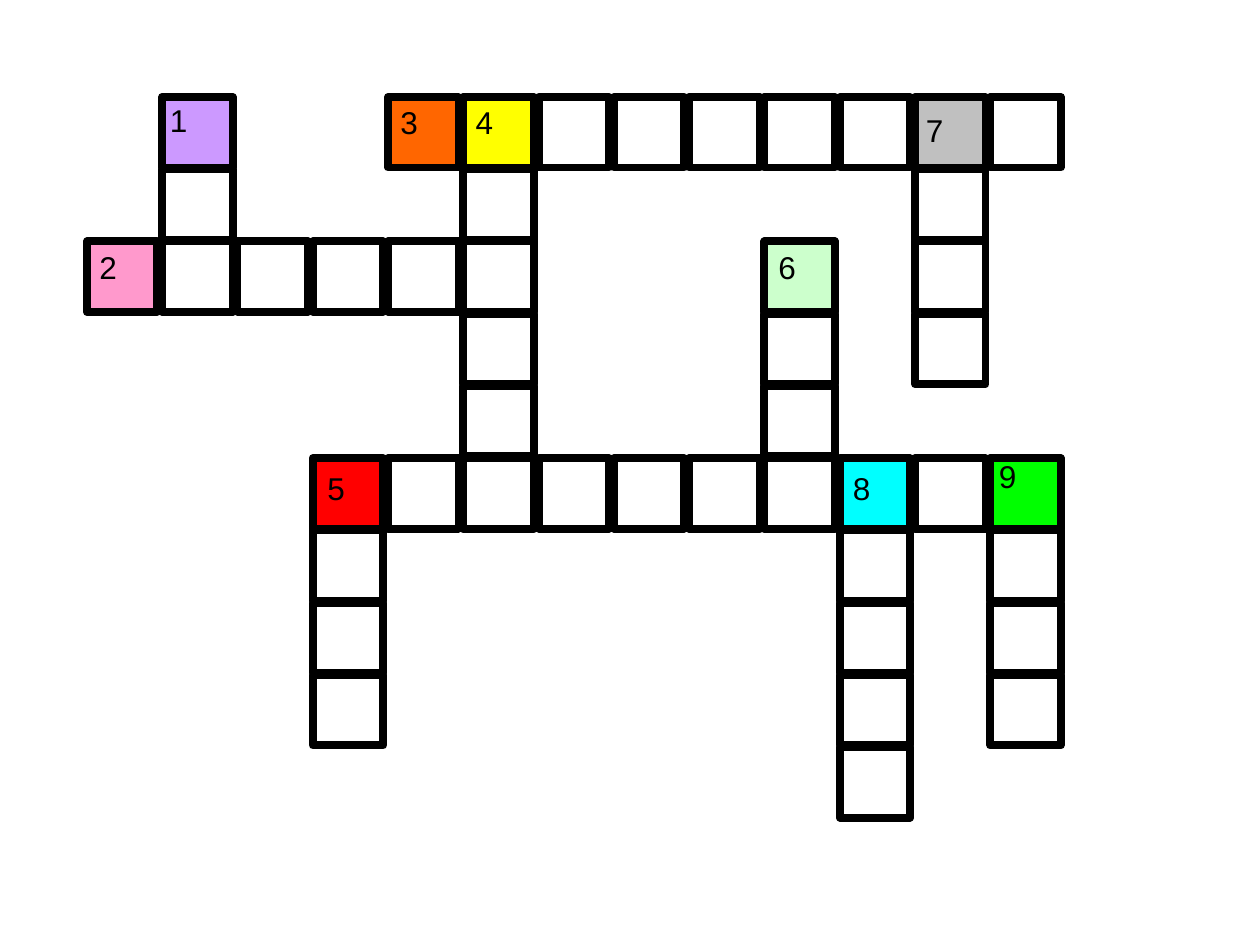
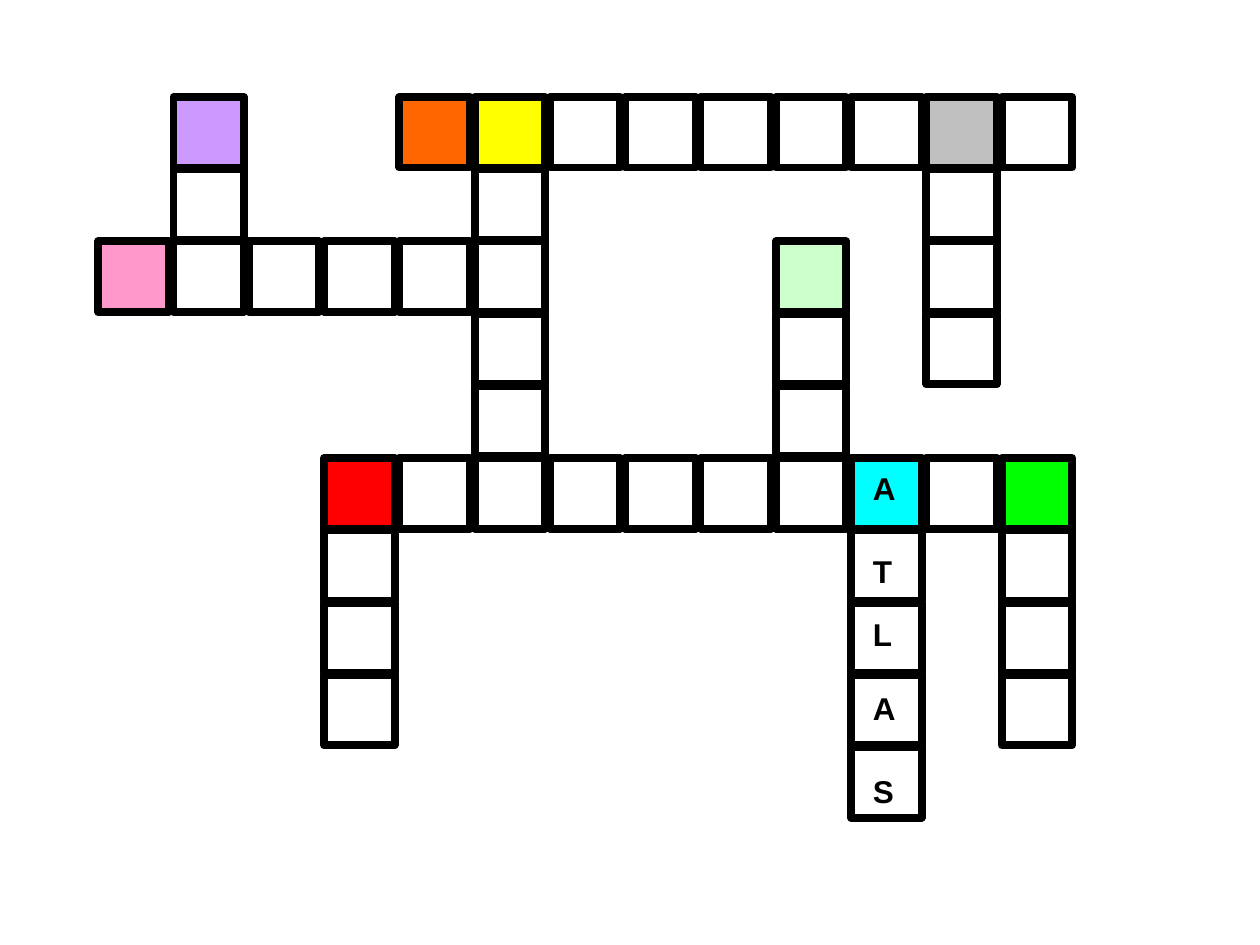
from pptx import Presentation
from pptx.dml.color import RGBColor
from pptx.enum.shapes import MSO_SHAPE
from pptx.enum.text import MSO_ANCHOR, PP_ALIGN
from pptx.util import Inches, Pt

HUES = {
    "#": "FFFFFF", "L": "CC99FF", "P": "FF99CC", "O": "FF6600",
    "Y": "FFFF00", "S": "C0C0C0", "M": "CCFFCC", "R": "FF0000",
    "C": "00FFFF", "G": "00FF00", "ink": "000000",
}
GRID = [
    ".L..OY#####S#",
    ".#...#.....#.",
    "P#####...M.#.",
    ".....#...#.#.",
    ".....#...#...",
    "...R######C#G",
    "...#......#.#",
    "...#......#.#",
    "...#......#.#",
    "..........#..",
]
TOP = 0.77
SIDE = 0.56
STEP_X = 7.17 / 12
STEP_Y = 5.16 / 9
CLUES = [
    ("1", 1.25, 0.75, 0.25), ("2", 0.69, 1.92, 0.2),
    ("5", 2.5, 3.67, 0.25), ("6", 6.08, 1.92, 0.25),
    ("7", 7.25, 0.83, 0.25), ("8", 6.67, 3.67, 0.25),
    ("9", 7.83, 3.58, 0.25),
]
ANSWER = [
    ("A", 3.67, 0.42), ("T", 4.33, 0.33), ("L", 4.83, 0.25),
    ("A", 5.42, 0.33), ("S", 6.08, 0.33),
]


def color(name):
    """Return the named colour."""
    return RGBColor.from_string(HUES[name])


def write(shape, text, bold=False):
    """Write one sign at the top left of a shape."""
    frame = shape.text_frame
    frame.word_wrap = True
    frame.vertical_anchor = MSO_ANCHOR.TOP
    para = frame.paragraphs[0]
    para.alignment = PP_ALIGN.LEFT
    run = para.add_run()
    run.text = text
    run.font.name = "Arial"
    run.font.size = Pt(18)
    run.font.bold = bold
    run.font.color.rgb = color("ink")


def add_cell(group, x, y, hue):
    """Add one bordered square and return it."""
    cell = group.shapes.add_shape(
        MSO_SHAPE.RECTANGLE, Inches(x), Inches(y), Inches(SIDE), Inches(SIDE))
    cell.shadow.inherit = False
    cell.fill.solid()
    cell.fill.fore_color.rgb = color(hue)
    cell.line.color.rgb = color("ink")
    cell.line.width = Pt(4.5)
    return cell


def add_grid(slide, left, marks):
    """Add the crossword, with marks written in cells of a given hue."""
    group = slide.shapes.add_group_shape()
    for row, line in enumerate(GRID):
        for col, hue in enumerate(line):
            if hue == ".":
                continue
            cell = add_cell(group, left + col * STEP_X, TOP + row * STEP_Y, hue)
            if hue in marks:
                write(cell, marks[hue])


def add_label(slide, text, x, y, width, bold=False):
    """Add a text box with one sign."""
    box = slide.shapes.add_textbox(
        Inches(x), Inches(y), Inches(width), Inches(0.4))
    write(box, text, bold)


def main():
    """Build the numbered crossword and the one with an answer."""
    deck = Presentation()
    deck.slide_width, deck.slide_height = Inches(10), Inches(7.5)
    blank = deck.slide_layouts[6]

    slide = deck.slides.add_slide(blank)
    add_grid(slide, 0.69, {"O": "3", "Y": "4"})
    for text, x, y, width in CLUES:
        add_label(slide, text, x, y, width)

    slide = deck.slides.add_slide(blank)
    add_grid(slide, 0.78, {})
    for text, y, width in ANSWER:
        add_label(slide, text, 6.83, y, width, True)

    deck.save("out.pptx")


if __name__ == "__main__":
    main()
